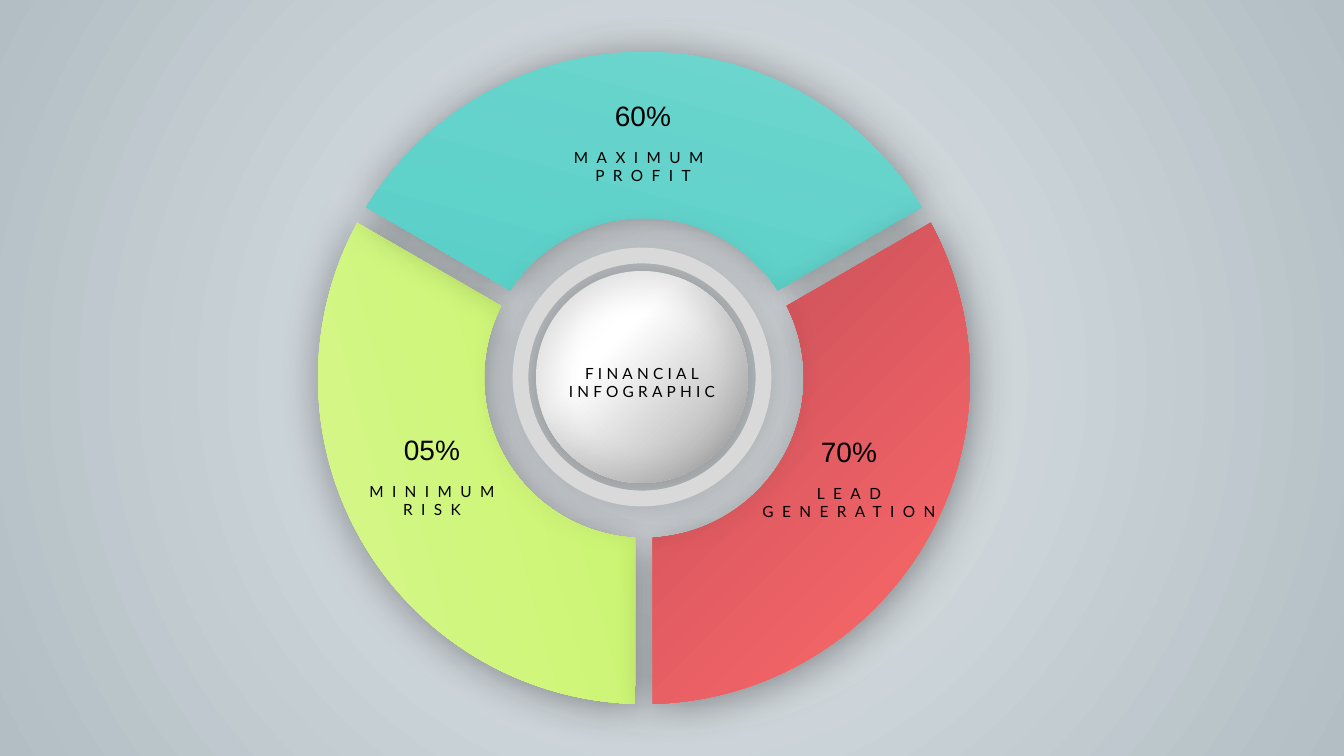
from math import asin, cos, degrees, radians, sin

from lxml import etree
from pptx import Presentation
from pptx.dml.color import RGBColor
from pptx.enum.shapes import MSO_SHAPE
from pptx.enum.text import MSO_AUTO_SIZE, PP_ALIGN
from pptx.oxml import parse_xml
from pptx.oxml.ns import nsdecls, qn
from pptx.util import Pt

EMU_PER_PX = 914400 / 100.8
COLORS = {
    "text": "000000",
    "shadow": "000000",
    "ring": "D9D9D9",
    "background": ["E5E9EC", "B2BEC4"],
    "red": ["FF6B6B", "C44D58"],
    "green": ["D8F793", "C7F464"],
    "teal": ["76D8D1", "4ECDC4"],
    "ball": ["FFFFFF", "FFFFFF", "A5A5A5"],
}

# Wheel geometry, in px
HUB_X, HUB_Y = 644, 378
OUTER_RADIUS, INNER_RADIUS, HALF_GAP = 326, 160, 9
START_ANGLE, END_ANGLE = -30, 90
BALL_X, BALL_Y = 642, 377

# Colour and clockwise turn of each segment
SEGMENTS = [("green", 120), ("teal", 240), ("red", 0)]

# Centre x, top of the value, value, label lines
CAPTIONS = [
    (643, 94, "60%", ["MAXIMUM PROFIT"]),
    (849, 430, "70%", ["LEAD", "GENERATION"]),
    (432, 428, "05%", ["MINIMUM", "RISK"]),
]


def px(length):
    return round(length * EMU_PER_PX)


def set_gradient(fill, element, colors, positions=(0, 100), angle=None):
    """Linear at the given angle, or circular from the centre without one."""
    fill.gradient()
    stops = "".join(
        f'<a:gs pos="{position * 1000}"><a:srgbClr val="{color}"/></a:gs>'
        for color, position in zip(colors, positions))
    if angle is None:
        direction = ('<a:path path="circle"><a:fillToRect l="50000" t="50000" '
                     'r="50000" b="50000"/></a:path>')
    else:
        direction = f'<a:lin ang="{angle * 60000}" scaled="0"/>'
    gradient = parse_xml(f'<a:gradFill {nsdecls("a")} rotWithShape="1">'
                         f'<a:gsLst>{stops}</a:gsLst>{direction}</a:gradFill>')
    old = next(element.iter(qn("a:gradFill")))
    old.getparent().replace(old, gradient)


def set_shadow(shape, blur):
    shape.shadow.inherit = False
    effects = shape._element.spPr.find(qn("a:effectLst"))
    shadow = etree.SubElement(
        effects, qn("a:outerShdw"), blurRad=str(Pt(blur)), dist=str(Pt(3)),
        dir=str(45 * 60000), algn="ctr", rotWithShape="0")
    color = etree.SubElement(shadow, qn("a:srgbClr"), val=COLORS["shadow"])
    etree.SubElement(color, qn("a:alpha"), val="40000")


def wheel_point(radius, angle):
    return (px(HUB_X + radius * cos(radians(angle))),
            px(HUB_Y + radius * sin(radians(angle))))


def bend_line(line, radius, start, end):
    """Replace a straight side by an arc around the hub."""
    arc = etree.Element(
        qn("a:arcTo"), wR=str(px(radius)), hR=str(px(radius)),
        stAng=str(round(start % 360 * 60000)),
        swAng=str(round((end - start) * 60000)))
    line.getparent().replace(line, arc)


def add_segment(slide, color, turn):
    # Half a gap is taken off both ends of each arc
    outer_inset = degrees(asin(HALF_GAP / OUTER_RADIUS))
    inner_inset = degrees(asin(HALF_GAP / INNER_RADIUS))
    outer_start, outer_end = START_ANGLE + outer_inset, END_ANGLE - outer_inset
    inner_start, inner_end = START_ANGLE + inner_inset, END_ANGLE - inner_inset
    builder = slide.shapes.build_freeform(
        *wheel_point(OUTER_RADIUS, outer_start))
    builder.add_line_segments([
        wheel_point(OUTER_RADIUS, 0),
        wheel_point(OUTER_RADIUS, outer_end),
        wheel_point(INNER_RADIUS, inner_end),
        wheel_point(INNER_RADIUS, inner_start),
    ], close=True)
    shape = builder.convert_to_shape()
    lines = list(shape._element.iter(qn("a:lnTo")))
    bend_line(lines[0], OUTER_RADIUS, outer_start, 0)
    bend_line(lines[1], OUTER_RADIUS, 0, outer_end)
    bend_line(lines[3], INNER_RADIUS, inner_end, inner_start)
    # Turn the segment around the hub
    offset_x = shape.left + shape.width / 2 - px(HUB_X)
    offset_y = shape.top + shape.height / 2 - px(HUB_Y)
    cosine, sine = cos(radians(turn)), sin(radians(turn))
    shape.left += round(offset_x * cosine - offset_y * sine - offset_x)
    shape.top += round(offset_x * sine + offset_y * cosine - offset_y)
    shape.rotation = turn
    set_gradient(shape.fill, shape._element, COLORS[color], angle=225)
    shape.line.fill.background()
    set_shadow(shape, 30)


def add_circle(slide, diameter):
    shape = slide.shapes.add_shape(
        MSO_SHAPE.OVAL, px(BALL_X - diameter / 2), px(BALL_Y - diameter / 2),
        px(diameter), px(diameter))
    set_shadow(shape, 35)
    return shape


def add_text(slide, lines, center, top, width, height, *, size=11,
             font="Lato", spacing=0, color="text"):
    box = slide.shapes.add_textbox(
        px(center - width / 2), px(top), px(width), px(height))
    frame = box.text_frame
    frame.word_wrap = True
    frame.auto_size = MSO_AUTO_SIZE.SHAPE_TO_FIT_TEXT
    frame.text = "\n".join(lines)
    for paragraph in frame.paragraphs:
        paragraph.alignment = PP_ALIGN.CENTER
        run = paragraph.runs[0]
        run.font.size = Pt(size)
        run.font.name = font
        run.font.color.rgb = RGBColor.from_string(COLORS[color])
        if spacing:
            run.font._element.set("spc", str(spacing * 100))


def main():
    presentation = Presentation()
    presentation.slide_width, presentation.slide_height = px(1344), px(756)
    slide = presentation.slides.add_slide(presentation.slide_layouts[6])
    set_gradient(slide.background.fill, slide._element, COLORS["background"])

    # Wheel
    for color, turn in SEGMENTS:
        add_segment(slide, color, turn)

    # Central ball
    ball = add_circle(slide, 212)
    set_gradient(ball.fill, ball._element, COLORS["ball"], (0, 35, 100), 45)
    ball.line.fill.background()

    # Captions
    for center, top, value, label in CAPTIONS:
        add_text(slide, label, center, top + 49, 206, 47, spacing=6)
        add_text(slide, [value], center, top, 133, 44, size=20, font="Arial")
    add_text(slide, ["FINANCIAL", "INFOGRAPHIC"], 642, 359, 206, 47, spacing=3)

    # Ring around the ball
    ring = add_circle(slide, 243)
    ring.fill.background()
    ring.line.color.rgb = RGBColor.from_string(COLORS["ring"])
    ring.line.width = Pt(11.25)

    presentation.save("out.pptx")


if __name__ == "__main__":
    main()
